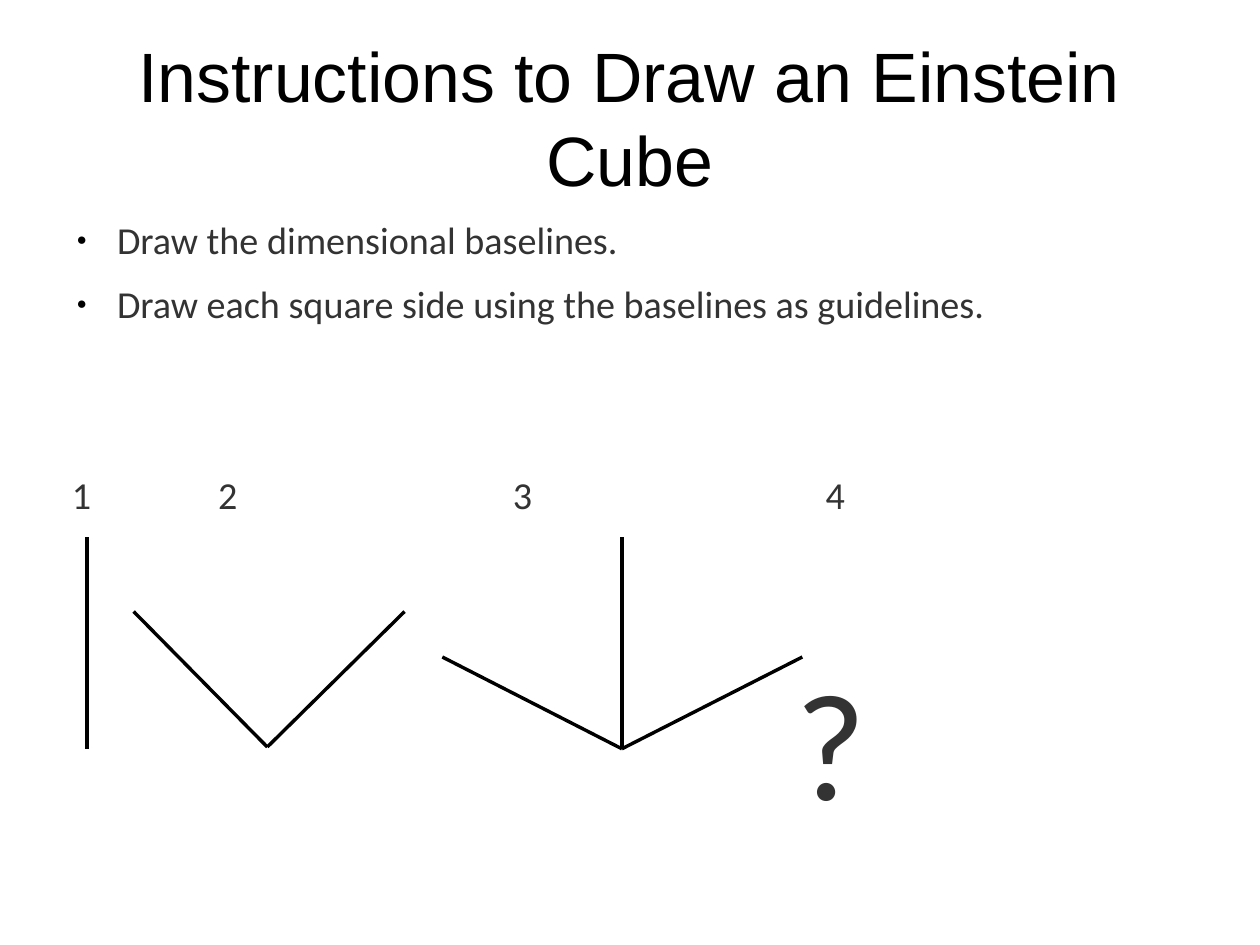
from lxml.etree import SubElement
from pptx import Presentation
from pptx.dml.color import RGBColor
from pptx.enum.shapes import MSO_CONNECTOR as Connector
from pptx.enum.text import MSO_ANCHOR as Anchor, MSO_AUTO_SIZE as AutoSize, PP_ALIGN as Align
from pptx.oxml.ns import qn
from pptx.util import Cm, Pt

BLACK = RGBColor(0x00, 0x00, 0x00)
GREY = RGBColor(0x33, 0x33, 0x33)

# Content
TITLE = "Instructions to Draw an Einstein Cube"
STEPS = ["Draw the dimensional baselines.",
         "Draw each square side using the baselines as guidelines."]

# Labels: text, left, top, width, height in cm, and size in points
NUMBER_TOP = 10.59
LABELS = [(number, left, NUMBER_TOP, 1, 1, 24)
          for number, left in [("1", 1.6), ("2", 4.85), ("3", 11.4), ("4", 18.35)]]
LABELS.append(("?", 17.68, 14.86, 2, 3.8, 96))

# Baselines of each dimension: the shared corner and the outer ends, in cm
BASELINES = [
    ((1.93, 16.64), [(1.93, 11.94)]),
    ((5.94, 16.6), [(2.97, 13.59), (8.99, 13.59)]),
    ((13.82, 16.64), [(9.83, 14.6), (17.83, 14.6), (13.82, 11.94)]),
]


def place(holder, left, top, width, height, anchor=Anchor.TOP):
    holder.left, holder.top, holder.width, holder.height = map(Cm, (left, top, width, height))
    frame = holder.text_frame
    frame.margin_left = frame.margin_right = frame.margin_top = frame.margin_bottom = 0
    frame.word_wrap = True
    frame.auto_size = AutoSize.NONE
    frame.vertical_anchor = anchor
    return frame


def style(paragraph, font_name, size, color, align=Align.LEFT, spacing=0.9):
    paragraph.alignment = align
    paragraph.line_spacing = spacing
    paragraph.font.name = font_name
    paragraph.font.size = Pt(size)
    paragraph.font.color.rgb = color


def add_bullet(paragraph):
    properties = paragraph._p.get_or_add_pPr()
    properties.set("marL", str(Cm(1.2)))
    properties.set("indent", str(-Cm(0.9)))
    SubElement(SubElement(properties, qn("a:buClr")), qn("a:srgbClr"), val=str(BLACK))
    SubElement(properties, qn("a:buSzPct"), val="45000")
    SubElement(properties, qn("a:buFont"), typeface="Arial")
    SubElement(properties, qn("a:buChar"), char="●")


prs = Presentation()
prs.slide_width, prs.slide_height = Cm(28), Cm(21)
slide = prs.slides.add_slide(prs.slide_layouts[1])

# Title
heading = place(slide.shapes.title, 1.4, 0.84, 25.2, 3.5, Anchor.MIDDLE)
heading.text = TITLE
style(heading.paragraphs[0], "Arial", 44, BLACK, Align.CENTER, 1.0)

# Instructions
body = place(slide.placeholders[1], 1.4, 4.93, 25.2, 4)
body.text = "\n".join(STEPS)
for step in body.paragraphs:
    add_bullet(step)
    step.space_before, step.space_after = 0, Pt(14)
    style(step, "Calibri", 24, GREY)

# Numbers above the drawings, and the unknown fourth dimension
for text, left, top, width, height, size in LABELS:
    box = slide.shapes.add_textbox(0, 0, 0, 0)
    label = place(box, left, top, width, height)
    label.text = text
    style(label.paragraphs[0], "Calibri", size, GREY)

# Dimensional baselines
for corner, ends in BASELINES:
    for end in ends:
        baseline = slide.shapes.add_connector(
            Connector.STRAIGHT, *(Cm(value) for value in corner + end))
        baseline.line.color.rgb = BLACK
        baseline.line.width = Pt(2.15)
        SubElement(baseline._element.spPr, qn("a:effectLst"))

prs.save("out.pptx")
